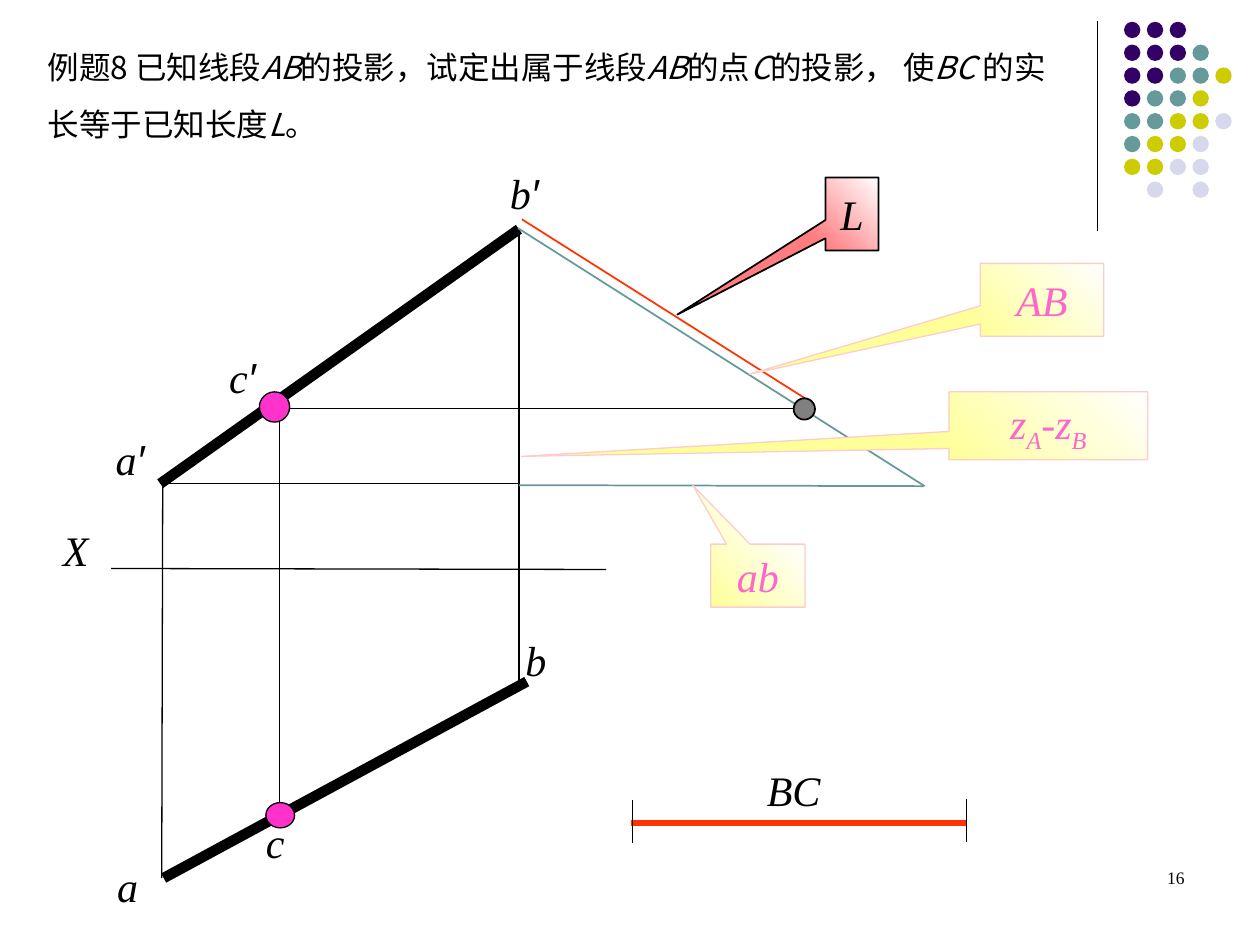
from lxml import etree
from pptx import Presentation
from pptx import util as u
from pptx.dml.color import RGBColor
from pptx.enum import shapes, text
from pptx.oxml.ns import qn

COLORS = {
    "black": "000000", "white": "FFFFFF", "purple": "330066", "teal": "669999",
    "olive": "CCCC00", "lavender": "D8D8EC", "red": "FF3300", "magenta": "FF33CC",
    "gray": "808080", "salmon": "FF7C80", "yellow": "FFFF99", "blush": "FFCCCC",
    "pink": "FF66CC",
}
RGB = {name: RGBColor.from_string(value) for name, value in COLORS.items()}
SERIF, SANS, CJK = "Times New Roman", "Arial", "Noto Sans CJK SC"

deck = Presentation()
deck.slide_width, deck.slide_height = u.Cm(25.4), u.Cm(19.05)
page = deck.slides.add_slide(deck.slide_layouts[6])


def add_span(para, words, font, size, color="black", italic=False, baseline=0):
    span = para.add_run()
    span.text = words
    span.font.name, span.font.size, span.font.italic = font, u.Pt(size), italic
    span.font.color.rgb = RGB[color]
    properties = span.font._element
    etree.SubElement(properties, qn("a:ea")).set("typeface", font)
    if baseline:
        properties.set("baseline", str(baseline))


def add_shape(kind, left, top, width, height, line=None, weight=0.75):
    shape = page.shapes.add_shape(kind, u.Cm(left), u.Cm(top), u.Cm(width), u.Cm(height))
    shape.shadow.inherit = False
    if line:
        shape.line.color.rgb, shape.line.width = RGB[line], u.Pt(weight)
    else:
        shape.line.fill.background()
    return shape


# Corner dots: one letter per dot, "." for a gap
dot_colors = {"p": "purple", "t": "teal", "o": "olive", "l": "lavender"}
dot_rows = ["ppp", "pppt", "pptto", "ptto", "ttool", "tool", "ooll", ".l.l"]
for row, letters in enumerate(dot_rows):
    for column, letter in enumerate(letters):
        if letter != ".":
            dot = add_shape(shapes.MSO_SHAPE.OVAL, 22.66 + 0.46 * column,
                            0.44 + 0.46 * row, 0.33, 0.33)
            dot.fill.solid()
            dot.fill.fore_color.rgb = RGB[dot_colors[letter]]

# Lines: start x, start y, end x, end y, colour, weight
lines = [
    (22.12, 0.43, 22.12, 4.65, "black", 0.75),    # corner divider
    (3.26, 17.7, 3.28, 9.75, "black", 0.75),      # a to a′
    (12.22, 11.48, 2.24, 11.46, "black", 0.75),   # X axis
    (10.46, 13.74, 10.46, 4.62, "black", 0.75),   # b to b′
    (10.46, 4.62, 3.23, 9.75, "black", 6),        # front view of AB
    (3.23, 9.75, 10.46, 9.75, "black", 0.75),     # level of a′
    (3.3, 17.7, 10.62, 13.74, "black", 6),        # top view of AB
    (12.73, 16.59, 19.48, 16.59, "red", 3),       # given length BC
    (12.75, 16.13, 12.75, 16.99, "black", 0.75),
    (19.48, 16.1, 19.48, 16.97, "black", 0.75),
    (16, 8.23, 5.41, 8.23, "black", 0.75),        # level of c′
    (5.64, 8.08, 5.64, 16.48, "black", 0.75),     # c to c′
    (10.46, 9.78, 18.62, 9.8, "teal", 1),         # true length triangle
    (10.44, 4.6, 18.64, 9.8, "teal", 1),
    (10.52, 4.42, 16.23, 8.03, "red", 1),         # length L
]
for x1, y1, x2, y2, color, weight in lines:
    line = page.shapes.add_connector(shapes.MSO_CONNECTOR.STRAIGHT,
                                     u.Cm(x1), u.Cm(y1), u.Cm(x2), u.Cm(y2))
    line.line.color.rgb, line.line.width = RGB[color], u.Pt(weight)
    etree.SubElement(line._element.spPr, qn("a:effectLst"))

# Points c, c′ and the point on the true length
points = [
    (5.36, 16.18, 0.58, 0.51, "magenta", 0.75),
    (5.23, 7.9, 0.61, 0.61, "magenta", 0.75),
    (16, 8.03, 0.43, 0.43, "gray", 1),
]
for left, top, width, height, color, weight in points:
    point = add_shape(shapes.MSO_SHAPE.OVAL, left, top, width, height, "black", weight)
    point.fill.solid()
    point.fill.fore_color.rgb = RGB[color]

# Point labels
labels = [
    ("b", 10.34, 12.67, 2.44), ("b′", 10.03, 3.25, 1.9), ("X", 1.02, 10.44, 3),
    ("a′", 2.08, 8.61, 1.8), ("a", 2.11, 17.22, 2.26), ("BC", 15.21, 15.29, 2.54),
    ("c", 5.11, 16.33, 1.14), ("c′", 4.37, 6.96, 2.18),
]
for words, left, top, width in labels:
    box = page.shapes.add_textbox(u.Cm(left), u.Cm(top), u.Cm(width), u.Cm(1.27))
    box.text_frame.word_wrap = True
    para = box.text_frame.paragraphs[0]
    add_span(para, words.rstrip("′"), SERIF, 24, italic=True)
    if words.endswith("′"):
        add_span(para, "′", SANS, 24, italic=True)

# Callouts: place, pointer, shade, line, weight, text colour, (text, baseline) spans
callouts = [
    ((16.64, 3.58, 1.07, 1.47), (-3.29, 1.38), "salmon", "black", 1, "black", [("L", 0)]),
    ((19.76, 5.31, 2.49, 1.47), (-2.37, 1.02), "yellow", "blush", 0.75, "pink", [("AB", 0)]),
    ((19.13, 7.9, 4.01, 1.37), (-2.65, 0.45), "yellow", "blush", 0.75, "pink",
     [("z", 0), ("A", -25000), ("-z", 0), ("B", -25000)]),
    ((14.33, 10.97, 1.9, 1.27), (-0.69, -1.43), "yellow", "blush", 0.75, "pink", [("ab", 0)]),
]
for place, pointer, shade, outline, weight, color, spans in callouts:
    callout = add_shape(shapes.MSO_SHAPE.RECTANGULAR_CALLOUT, *place, outline, weight)
    callout.adjustments[0], callout.adjustments[1] = pointer
    callout.fill.gradient()
    callout.fill.gradient_angle = 225
    for stop, name, position in zip(callout.fill.gradient_stops, ("white", shade), (0, 1)):
        stop.color.rgb, stop.position = RGB[name], position
    frame = callout.text_frame
    frame.word_wrap = False
    frame.vertical_anchor = text.MSO_ANCHOR.MIDDLE
    frame.paragraphs[0].alignment = text.PP_ALIGN.CENTER
    for words, baseline in spans:
        add_span(frame.paragraphs[0], words, SERIF, 24, color, True, baseline)

# Problem statement: every second span is italic
statement = ["例题8 已知线段", "AB", "的投影，试定出属于线段", "AB", "的点", "C",
             "的投影， 使", "BC ", "的实长等于已知长度", "L", "。"]
box = page.shapes.add_textbox(u.Cm(0.71), u.Cm(0.46), u.Cm(20.73), u.Cm(2.54))
box.text_frame.word_wrap = True
para = box.text_frame.paragraphs[0]
para.line_spacing = 1.5
for index, words in enumerate(statement):
    add_span(para, words, CJK, 18, italic=index % 2 == 1)

# Page number
box = page.shapes.add_textbox(u.Cm(18.21), u.Cm(17.35), u.Cm(5.92), u.Cm(1.27))
box.text_frame.word_wrap = True
para = box.text_frame.paragraphs[0]
para.alignment = text.PP_ALIGN.RIGHT
add_span(para, "16", SERIF, 10)

deck.save("out.pptx")
